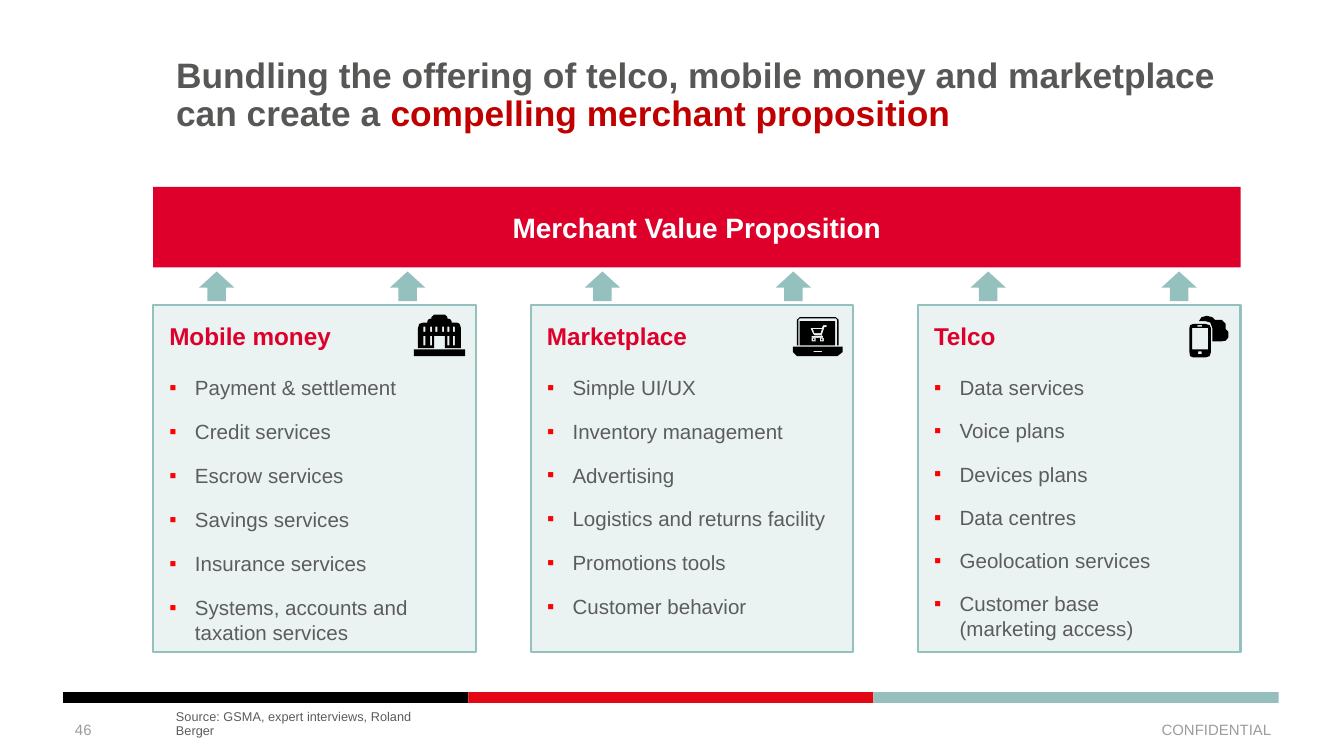
from lxml.etree import SubElement
from pptx import Presentation
from pptx.dml.color import RGBColor
from pptx.enum.shapes import MSO_SHAPE as Preset
from pptx.enum.text import MSO_ANCHOR as Anchor, MSO_AUTO_SIZE as AutoSize, PP_ALIGN as Align
from pptx.oxml.ns import qn
from pptx.util import Pt

PX = 4572  # EMU in one px, 200 px to the inch

BLACK = RGBColor(0x00, 0x00, 0x00)
WHITE = RGBColor(0xFF, 0xFF, 0xFF)
RED = RGBColor(0xDE, 0x00, 0x2B)
BAR_RED = RGBColor(0xE3, 0x06, 0x13)
DARK_RED = RGBColor(0xC0, 0x00, 0x00)
BULLET_RED = RGBColor(0xFF, 0x00, 0x00)
TEAL = RGBColor(0x94, 0xC0, 0xBE)
BAR_TEAL = RGBColor(0x94, 0xBF, 0xBD)
PALE_TEAL = RGBColor(0xEA, 0xF2, 0xF2)
TITLE_GRAY = RGBColor(0x57, 0x57, 0x56)
TEXT_GRAY = RGBColor(0x5C, 0x5C, 0x5C)
FOOTER_GRAY = RGBColor(0x9C, 0x9C, 0x9C)


def rect(left, top, width, height):
    """Corner points of a rectangle."""
    right, bottom = left + width, top + height
    return [(left, top), (right, top), (right, bottom), (left, bottom)]


# Icon outlines, in px from the icon's corner; inner outlines cut holes.
BANK = [
    [(6, 50), (6, 20), (8, 14), (14, 12), (20, 12), (20, 10), (22, 7), (26, 6),
     (26, 4), (30, 0), (46, 0), (50, 4), (50, 6), (54, 7), (56, 10), (56, 12),
     (64, 12), (68, 14), (70, 20), (70, 50), (46, 50), (46, 32), (30, 32), (30, 50)],
    rect(0, 52, 76, 10),
    *[rect(x, 18, 3, 8) for x in (14, 24, 32, 42, 50, 58)],
    *[rect(x, 32, 3, 14) for x in (14, 24, 50, 58)],
]
LAPTOP = [
    [(6, 42), (6, 4), (10, 0), (64, 0), (68, 4), (68, 42),
     (66, 42), (66, 4), (64, 2), (10, 2), (8, 4), (8, 42)],
    [(0, 44), (74, 44), (74, 52), (66, 58), (6, 58), (0, 52)],
    rect(31, 50, 12, 2),
    rect(10, 6, 53, 36),
    [(26, 16), (43, 16), (45, 12), (50, 12), (50, 15), (47, 15), (43, 27), (45, 28),
     (45, 31), (28, 31), (28, 28), (42, 28), (42, 27), (32, 27), (30, 25)],
    [(30, 18), (43, 18), (41, 24), (32, 24)],
    *[rect(x, 31, 6, 5) for x in (28, 40)],
    *[rect(x, 32, 2, 2) for x in (30, 42)],
]
PHONE = [
    [(14, 8), (18, 2), (26, 0), (34, 2), (38, 6), (48, 6), (54, 12), (54, 20),
     (58, 24), (58, 32), (54, 37), (48, 38), (34, 38), (34, 18), (31, 10), (24, 8)],
    [(6, 12), (24, 12), (30, 14), (32, 18), (32, 54), (30, 60), (24, 62),
     (6, 62), (1, 60), (0, 54), (0, 18), (1, 14)],
    rect(4, 18, 24, 32),
    rect(12, 14, 7, 2),
    rect(13, 53, 5, 4),
]

# Heading, left, list width, drop from first to last item, icon, icon offset, items
CARDS = [
    ("Mobile money", 228, 384, 328, BANK, (388, 14),
     ["Payment & settlement", "Credit services", "Escrow services", "Savings services",
      "Insurance services", "Systems, accounts and taxation services"]),
    ("Marketplace", 790, 462, 326, LAPTOP, (390, 18),
     ["Simple UI/UX", "Inventory management", "Advertising",
      "Logistics and returns facility", "Promotions tools", "Customer behavior"]),
    ("Telco", 1366, 384, 322, PHONE, (404, 16),
     ["Data services", "Voice plans", "Devices plans", "Data centres",
      "Geolocation services", "Customer base (marketing access)"]),
]


def emu(*lengths):
    return [round(length * PX) for length in lengths]


def write(shape, *spans, size, bold=False, align=Align.LEFT, anchor=Anchor.TOP,
          insets=(0, 0, 0, 0), spacing=None, bullet=None, wrap=True, fit=AutoSize.NONE):
    """Fill a shape with one paragraph made of (text, colour) spans."""
    frame = shape.text_frame
    frame.word_wrap = wrap
    frame.auto_size = fit
    frame.vertical_anchor = anchor
    (frame.margin_left, frame.margin_top,
     frame.margin_right, frame.margin_bottom) = emu(*insets)
    para = frame.paragraphs[0]
    para.alignment = align
    if spacing:
        para.line_spacing = spacing
    if bullet:
        props = para._p.get_or_add_pPr()
        props.set("marL", str(38 * PX))
        props.set("indent", str(-38 * PX))
        color = SubElement(props, qn("a:buClr"))
        SubElement(color, qn("a:srgbClr"), val=str(BULLET_RED))
        SubElement(props, qn("a:buFont"), typeface="Arial")
        SubElement(props, qn("a:buChar"), char=bullet)
    for text, color in spans:
        span = para.add_run()
        span.text = text
        span.font.name = "Arial"
        span.font.size = Pt(size)
        span.font.bold = bold
        span.font.color.rgb = color


def add_text(page, box, *spans, **style):
    write(page.shapes.add_textbox(*emu(*box)), *spans, **style)


def paint(shape, fill, line=None):
    shape.shadow.inherit = False
    shape.fill.solid()
    shape.fill.fore_color.rgb = fill
    if line:
        shape.line.color.rgb = line
        shape.line.width = Pt(1.25)
    else:
        shape.line.fill.background()
    return shape


def add_block(page, box, fill, line=None, preset=Preset.RECTANGLE):
    return paint(page.shapes.add_shape(preset, *emu(*box)), fill, line)


def add_icon(page, left, top, outlines):
    first, *others = outlines
    builder = page.shapes.build_freeform(*first[0], scale=PX)
    builder.add_line_segments(first[1:], close=True)
    for outline in others:
        builder.move_to(*outline[0])
        builder.add_line_segments(outline[1:], close=True)
    paint(builder.convert_to_shape(*emu(left, top)), BLACK)


def add_title(page, box):
    title = page.shapes.title
    title.left, title.top, title.width, title.height = emu(*box)
    write(title,
          ("Bundling the offering of telco, mobile money and marketplace can create a ",
           TITLE_GRAY),
          ("compelling merchant proposition", DARK_RED),
          size=18.9, bold=True, spacing=0.9)


def add_banner(page, box):
    """The proposition bar, with a pair of arrows under it for each card."""
    left, top, width, height = box
    write(add_block(page, box, RED), ("Merchant Value Proposition", WHITE),
          size=15, bold=True, align=Align.CENTER, anchor=Anchor.MIDDLE)
    for pair in range(len(CARDS)):
        for offset in (68, 352):
            arrow = add_block(page, (left + 574 * pair + offset, top + height + 6, 53, 44),
                              TEAL, preset=Preset.UP_ARROW)
            arrow.adjustments[0] = 0.52
            arrow.adjustments[1] = 0.55


def add_card(page, box, heading, list_width, drop, icon, icon_offset, items):
    left, top, width, height = box
    write(add_block(page, box, PALE_TEAL, TEAL), (heading, RED),
          size=13, bold=True, insets=(24, 24, 8, 8))
    add_icon(page, left + icon_offset[0], top + icon_offset[1], icon)
    for index, item in enumerate(items):
        item_top = top + 104 + drop * index / (len(items) - 1)
        add_text(page, (left, item_top, list_width, 38), (item, TEXT_GRAY), size=11,
                 insets=(24, 0, 0, 0), bullet="▪", fit=AutoSize.SHAPE_TO_FIT_TEXT)


def add_footer(page, box):
    left, top, width, height = box
    bar_width = width // 3
    for index, color in enumerate((BLACK, BAR_RED, BAR_TEAL)):
        add_block(page, (left + index * bar_width, top, bar_width, 16), color)
    label = dict(size=8, anchor=Anchor.MIDDLE, insets=(20, 10, 20, 10))
    add_text(page, (left - 2, top + 26, 466, 60), ("46", FOOTER_GRAY), **label)
    add_text(page, (left + 1352, top + 26, 466, 60), ("CONFIDENTIAL", FOOTER_GRAY),
             align=Align.RIGHT, **label)
    add_text(page, (left + 168, top + 48, 412, 20),
             ("Source: GSMA, expert interviews, Roland Berger", TEXT_GRAY), size=6.8,
             anchor=Anchor.BOTTOM, spacing=0.9, wrap=False, fit=AutoSize.SHAPE_TO_FIT_TEXT)


def main():
    deck = Presentation()
    deck.slide_width, deck.slide_height = emu(2000, 1125)
    page = deck.slides.add_slide(deck.slide_layouts[5])
    add_title(page, (262, 86, 1618, 188))
    add_banner(page, (228, 278, 1618, 120))
    for heading, left, *content in CARDS:
        add_card(page, (left, 454, 480, 516), heading, *content)
    add_footer(page, (94, 1030, 1809, 86))
    deck.save("out.pptx")


if __name__ == "__main__":
    main()
